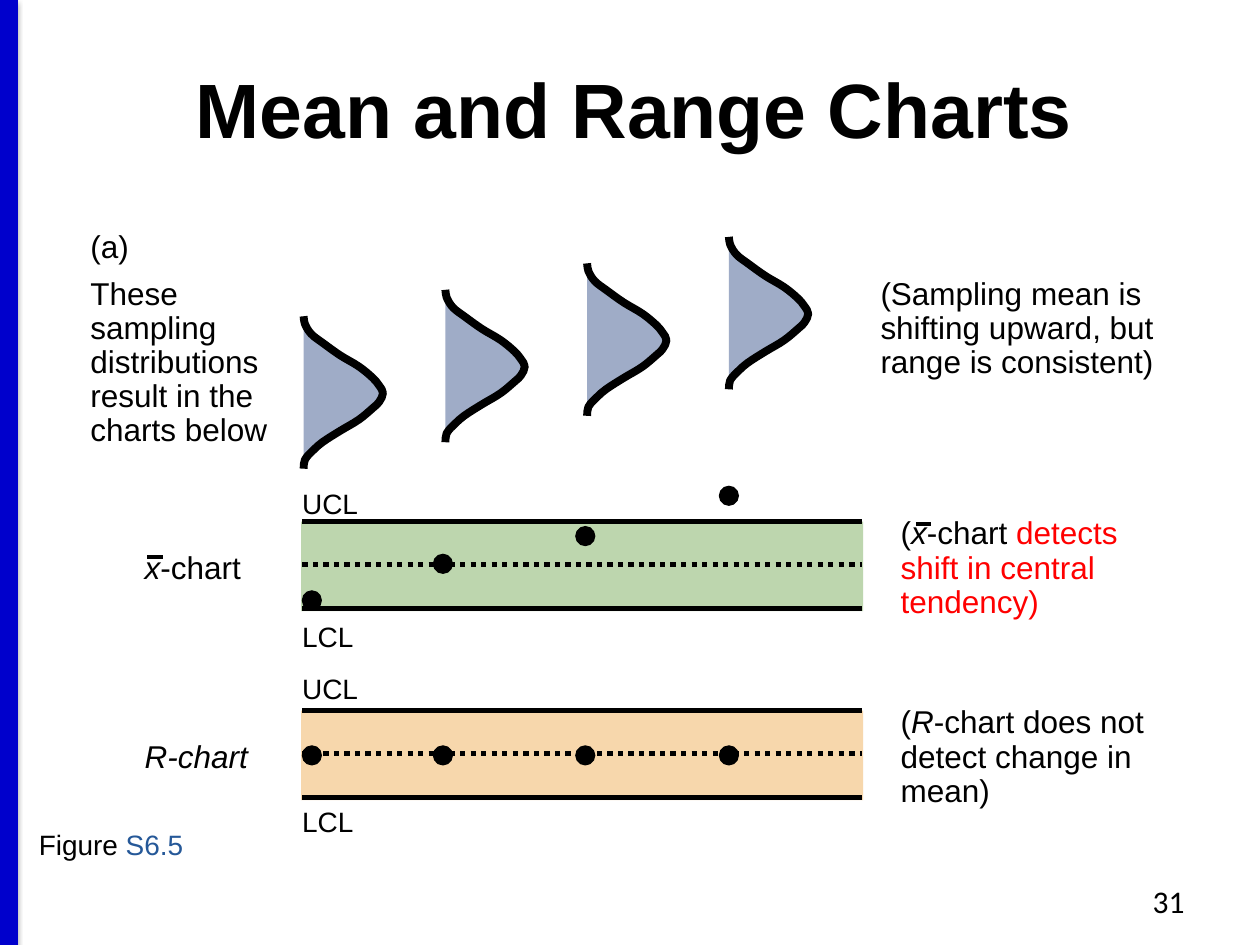
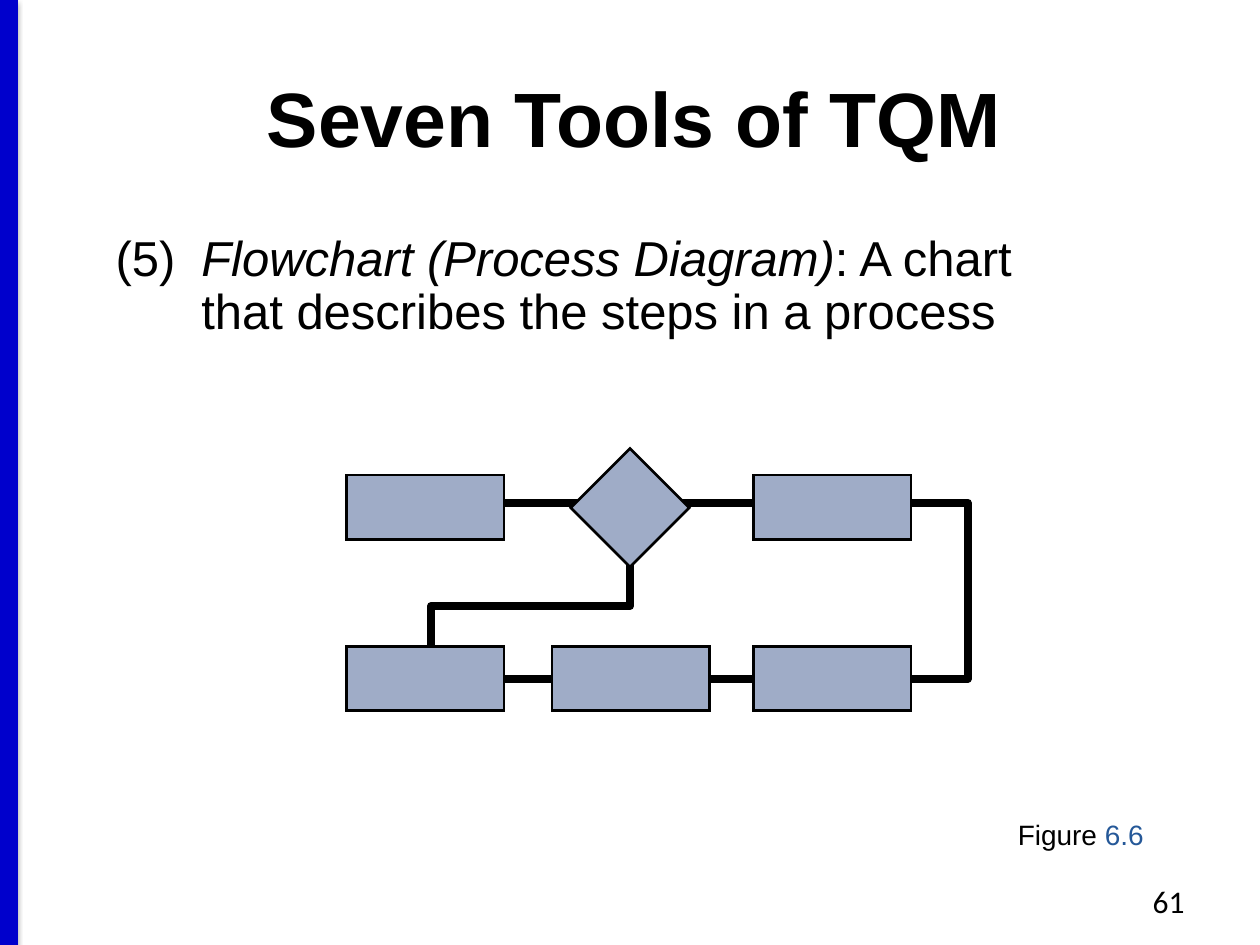
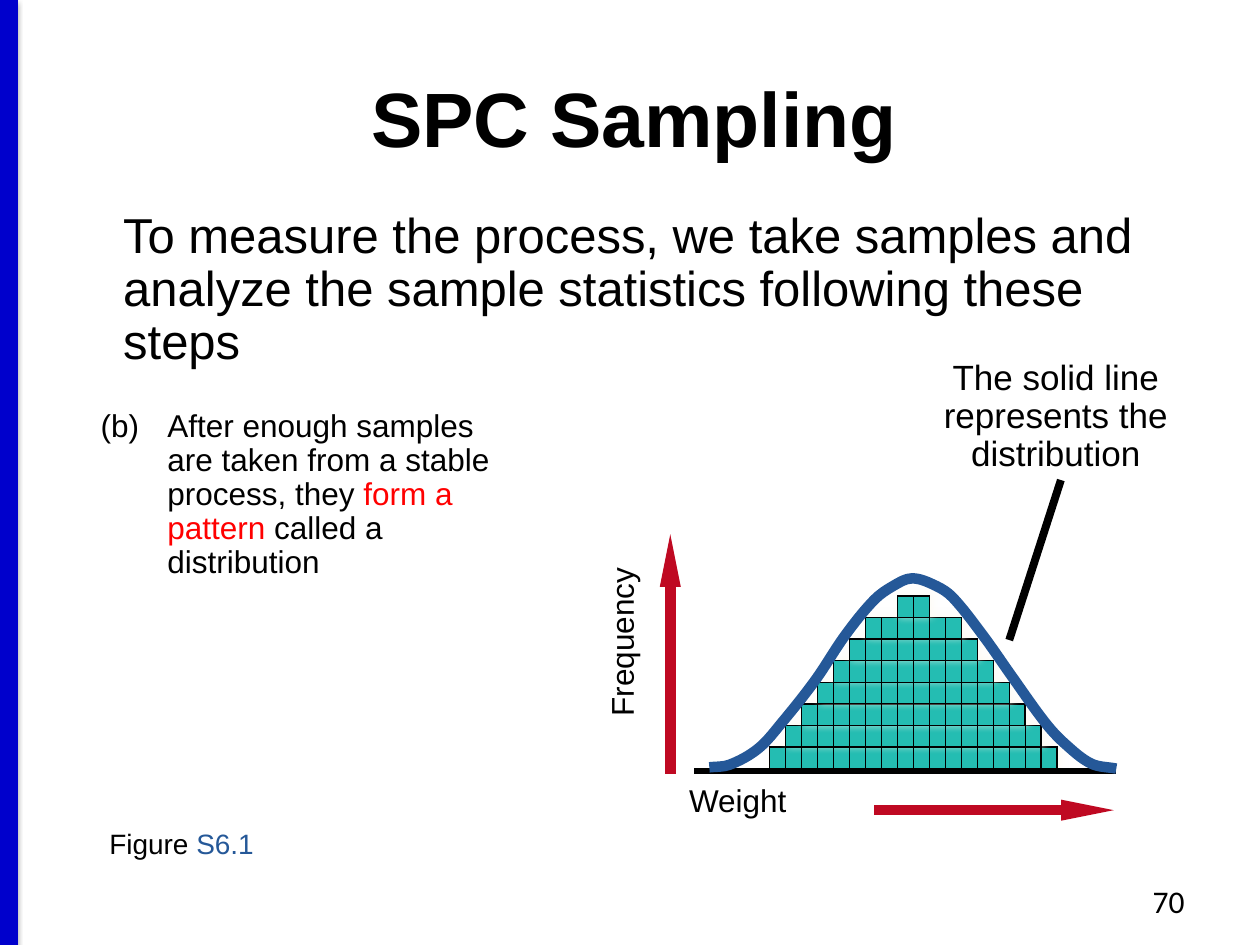
import math

from lxml import etree
from pptx import Presentation
from pptx import util as u
from pptx.dml import color
from pptx.enum import dml, shapes, text
from pptx.oxml import ns

Inches = u.Inches

# Shared look
BLACK, RED, BLUE = "000000", "FF0000", "255898"
BAND_BLUE, STEEL, TEAL, CRIMSON = "0000CC", "9FACC7", "24BDB2", "BF0922"
GREEN, ORANGE = "BDD6AE", "F7D7AC"
FONT = "Arial"
CENTER, RIGHT = text.PP_ALIGN.CENTER, text.PP_ALIGN.RIGHT


def rgb(value):
    return color.RGBColor.from_string(value)


def child(parent, tag, **attributes):
    return etree.SubElement(parent, ns.qn(tag), {k: str(v) for k, v in attributes.items()})


# Basic elements
def style_line(line, line_color, width):
    if line_color is None:
        line.fill.background()
    else:
        line.color.rgb = rgb(line_color)
        line.width = u.Pt(width)


def add_effects(shape, shadow=None):
    """Replace the theme shadow with (colour, opacity %, blur pt, distance pt, angle)."""
    properties = shape._element.spPr
    for old in properties.findall(ns.qn("a:effectLst")):
        properties.remove(old)
    effects = child(properties, "a:effectLst")
    if shadow:
        shadow_color, opacity, blur, distance, angle = shadow
        outer = child(effects, "a:outerShdw", blurRad=u.Pt(blur), dist=u.Pt(distance),
                      dir=angle * 60000, algn="ctr", rotWithShape=0)
        child(child(outer, "a:srgbClr", val=shadow_color), "a:alpha", val=opacity * 1000)


def add_line(slide, start, end, width, line_color=BLACK, dotted=False, arrow=False, shadow=None):
    line = slide.shapes.add_connector(
        shapes.MSO_CONNECTOR.STRAIGHT, *map(Inches, (*start, *end)))
    style_line(line.line, line_color, width)
    if dotted:
        line.line.dash_style = dml.MSO_LINE.ROUND_DOT
    if arrow:
        child(line.line._get_or_add_ln(), "a:tailEnd", type="triangle", w="sm", len="lg")
    add_effects(line, shadow)


def add_box(slide, kind, frame, fill, line_color=BLACK, width=0.75, shadow=None):
    shape = slide.shapes.add_shape(kind, *map(Inches, frame))
    shape.fill.solid()
    shape.fill.fore_color.rgb = rgb(fill)
    style_line(shape.line, line_color, width)
    if line_color:
        child(shape.line._get_or_add_ln(), "a:miter", lim=800000)
    add_effects(shape, shadow)


def add_outline(slide, points, width, line_color=BLACK, fill=None, curved=False):
    emu = [(Inches(x), Inches(y)) for x, y in points]
    builder = slide.shapes.build_freeform(*emu[0])
    builder.add_line_segments(emu[1:], close=False)
    shape = builder.convert_to_shape()
    if curved:
        bend(shape)
    if fill:
        shape.fill.solid()
        shape.fill.fore_color.rgb = rgb(fill)
    else:
        shape.fill.background()
    style_line(shape.line, line_color, width)
    shape.shadow.inherit = False


def bend(shape):
    """Turn the straight segments into curves that pass smoothly through the same points."""
    nodes = list(shape._element.spPr.iter(ns.qn("a:pt")))
    points = [(int(node.get("x")), int(node.get("y"))) for node in nodes]
    padded = [points[0], *points, points[-1]]
    angles = [math.atan2(after[1] - before[1], after[0] - before[0])
              for before, after in zip(padded, padded[2:])]
    for index, node in enumerate(nodes[1:], 1):
        start, end = points[index - 1], points[index]
        reach = math.dist(start, end) / 3
        segment = node.getparent()
        segment.tag = ns.qn("a:cubicBezTo")
        for (x, y), angle, sign in ((start, angles[index - 1], 1), (end, angles[index], -1)):
            child(segment, "a:pt", x=round(x + sign * reach * math.cos(angle)),
                  y=round(y + sign * reach * math.sin(angle)))
        segment.append(node)


def add_text(slide, frame, paragraphs, size, align=None, spacing=None, wrap=True, hanging=0,
             before=0, font=FONT, bold=False, middle=False, rotation=0):
    """Each paragraph is a list of runs: (words, colour, italic)."""
    box = slide.shapes.add_textbox(*map(Inches, frame))
    box.rotation = rotation
    text_frame = box.text_frame
    text_frame.word_wrap = wrap
    if middle:
        text_frame.vertical_anchor = text.MSO_ANCHOR.MIDDLE
    else:
        text_frame.auto_size = text.MSO_AUTO_SIZE.SHAPE_TO_FIT_TEXT
    for index, runs in enumerate(paragraphs):
        paragraph = text_frame.add_paragraph() if index else text_frame.paragraphs[0]
        if hanging:
            properties = paragraph._p.get_or_add_pPr()
            properties.set("marL", str(Inches(hanging)))
            properties.set("indent", str(-Inches(hanging)))
        if align is not None:
            paragraph.alignment = align
        if spacing:
            paragraph.line_spacing = spacing
        if index and before:
            paragraph.space_before = u.Pt(before)
        for words, run_color, italic_style in runs:
            run = paragraph.add_run()
            run.text = words
            run.font.name, run.font.size = font, u.Pt(size)
            run.font.bold, run.font.italic = bold, italic_style
            run.font.color.rgb = rgb(run_color)


def plain(words, run_color=BLACK):
    return words, run_color, False


def italic(words):
    return words, BLACK, True


# Parts found on every slide
def new_slide(presentation, title, number, title_spacing=None):
    slide = presentation.slides.add_slide(presentation.slide_layouts[6])
    add_line(slide, (0.07, 0), (0.07, 7.5), 10, BAND_BLUE, shadow=(BLACK, 38, 3.1, 1.6, 90))
    add_text(slide, (0.07, 0.3, 9.93, 1.25), [[plain(title)]], 44, CENTER,
             title_spacing, bold=True, middle=True)
    add_text(slide, (7.17, 6.95, 2.33, 0.4), [[plain(number)]], 18, RIGHT, font="Calibri")
    return slide


def add_figure_label(slide, frame, number, spacing=None):
    add_text(slide, frame, [[plain("Figure "), plain(number, BLUE)]], 16,
             spacing=spacing, wrap=False)


# Mean and range charts
def add_sampling_curve(slide, left, top):
    bell = [(0, 0), (0.01, 0.06), (0.06, 0.14), (0.15, 0.21), (0.29, 0.31), (0.44, 0.4),
            (0.55, 0.49), (0.6, 0.55), (0.63, 0.61), (0.6, 0.68), (0.56, 0.72), (0.44, 0.82),
            (0.29, 0.91), (0.15, 1), (0.08, 1.06), (0.01, 1.14), (0, 1.21)]
    add_outline(slide, [(left + x, top + y) for x, y in bell], 4.5, fill=STEEL, curved=True)


def add_control_chart(slide, top, fill, dot_tops, label_tops, name, note, note_width):
    add_box(slide, shapes.MSO_SHAPE.RECTANGLE, (2.39, top, 4.46, 0.71), fill, None)
    for offset, dotted in ((0, False), (0.34, True), (0.69, False)):
        add_line(slide, (2.4, top + offset), (6.84, top + offset), 3, dotted=dotted)
    for left, dot_top in zip((2.4, 3.44, 4.57, 5.71), dot_tops):
        add_box(slide, shapes.MSO_SHAPE.OVAL, (left, dot_top, 0.15, 0.15), BLACK)
    add_text(slide, (1.05, top + 0.16, 1.09, 0.4), [name], 18, wrap=False)
    add_text(slide, (7.05, top - 0.08, note_width, 0.92), [note], 18, spacing=0.9)
    for label, label_top, width in zip(("UCL", "LCL"), label_tops, (0.66, 0.61)):
        add_text(slide, (2.3, label_top, width, 0.37), [[plain(label)]], 16, wrap=False)


def build_mean_and_range(presentation):
    slide = new_slide(presentation, "Mean and Range Charts", "31", 0.8)
    for index in range(4):
        add_sampling_curve(slide, 2.41 + 1.125 * index, 2.51 - 0.21 * index)
    add_text(slide, (0.62, 1.79, 1.74, 1.85),
             [[plain("(a)")],
              [plain("These sampling distributions result in the charts below")]],
             18, spacing=0.9, before=7.2)
    add_text(slide, (6.89, 2.16, 2.67, 0.92),
             [[plain("(Sampling mean is shifting upward, but range is consistent)")]],
             18, spacing=0.9)
    add_control_chart(
        slide, 5.64, ORANGE, [5.92] * 4, (5.28, 6.34), [italic("R-chart")],
        [plain("("), italic("R"), plain("-chart does not detect change in mean)")], 2.37)
    add_control_chart(
        slide, 4.14, GREEN, (4.69, 4.4, 4.18, 3.86), (3.81, 4.87),
        [italic("x"), plain("-chart")],
        [plain("("), italic("x"), plain("-chart "),
         plain("detects shift in central tendency)", RED)], 2.1)
    # Bars over the two x symbols
    for left, top in ((1.17, 4.42), (7.27, 4.16)):
        add_line(slide, (left, top), (left + 0.12, top), 2.25)
    add_figure_label(slide, (0.21, 6.52, 1.4, 0.37), "S6.5")


# Flowchart
def build_flowchart(presentation):
    slide = new_slide(presentation, "Seven Tools of TQM", "61")
    add_text(slide, (0.82, 1.81, 7.76, 0.96),
             [[plain("(5)\t"), italic("Flowchart (Process Diagram)"),
               plain(": A chart that describes the steps in a process")]],
             28, spacing=0.9, hanging=0.68)
    add_figure_label(slide, (7.98, 6.44, 1.25, 0.37), "6.6")
    add_outline(slide, [(3.86, 3.99), (7.68, 3.99), (7.68, 5.39), (3.89, 5.39)], 4.5)
    add_outline(slide, [(3.42, 5.31), (3.42, 4.81), (5, 4.81), (5, 4.36)], 4.5)
    for top, lefts in ((3.77, (2.75, 5.98)), (5.13, (2.75, 4.38, 5.98))):
        for left in lefts:
            add_box(slide, shapes.MSO_SHAPE.RECTANGLE, (left, top, 1.25, 0.51), STEEL, width=1.5)
    add_box(slide, shapes.MSO_SHAPE.DIAMOND, (4.53, 3.56, 0.94, 0.94), STEEL, width=1.5)


# Sampling distribution
def add_histogram(slide):
    left, right, top, base = 6.11, 8.39, 4.73, 6.1
    columns = 18
    insets = (0, 1, 2, 3, 4, 5, 6, 8)  # empty columns on each side, bottom row first
    cell_width = (right - left) / columns
    cell_height = (base - top) / len(insets)
    for row, inset in enumerate(insets):
        add_box(slide, shapes.MSO_SHAPE.RECTANGLE,
                (left + inset * cell_width, base - (row + 1) * cell_height,
                 (columns - 2 * inset) * cell_width, cell_height),
                TEAL, shadow=("FFFCF2", 75, 5, 1.4, 315))
    add_line(slide, (5.51, 6.12), (8.86, 6.12), 3)
    for column in range(1, columns):
        rows = sum(inset <= min(column, columns - column) for inset in insets)
        x = left + column * cell_width
        add_line(slide, (x, base - rows * cell_height), (x, base), 0.75)


def build_sampling(presentation):
    slide = new_slide(presentation, "SPC Sampling", "70")
    add_text(slide, (0.88, 1.63, 8.24, 1.38),
             [[plain("To measure the process, we take samples and analyze the sample "
                     "statistics following these steps")]], 28, spacing=0.9)
    add_text(slide, (0.7, 3.21, 3.38, 1.47),
             [[plain("(b)\tAfter enough samples are taken from a stable process, they "),
               plain("form a pattern", RED), plain(" called a distribution")]],
             18, spacing=0.9, hanging=0.53)
    add_text(slide, (7.05, 2.81, 2.66, 1.02),
             [[plain("The solid line represents the distribution")]], 20, CENTER, 0.9)
    add_line(slide, (8.42, 3.81), (8.01, 5.08), 4.5)
    # Axes
    add_text(slide, (4.26, 4.9, 1.39, 0.38), [[plain("Frequency")]], 18,
             spacing=0.9, wrap=False, rotation=270)
    add_text(slide, (5.37, 6.18, 0.98, 0.38), [[plain("Weight")]], 18, spacing=0.9, wrap=False)
    add_line(slide, (5.32, 6.14), (5.32, 4.24), 6, CRIMSON, arrow=True)
    add_line(slide, (6.94, 6.43), (8.84, 6.43), 6, CRIMSON, arrow=True)
    add_histogram(slide)
    distribution = [(5.63, 6.09), (5.79, 6.07), (6.02, 5.94), (6.21, 5.73), (6.47, 5.4),
                    (6.71, 5.04), (6.94, 4.76), (7.09, 4.65), (7.24, 4.59), (7.43, 4.65),
                    (7.56, 4.74), (7.8, 5.04), (8.04, 5.38), (8.3, 5.74), (8.45, 5.9),
                    (8.66, 6.06), (8.86, 6.1)]
    add_outline(slide, distribution, 6, BLUE, curved=True)
    add_figure_label(slide, (0.77, 6.54, 1.36, 0.35), "S6.1", 0.9)


def main():
    presentation = Presentation()
    presentation.slide_width, presentation.slide_height = Inches(10), Inches(7.5)
    build_mean_and_range(presentation)
    build_flowchart(presentation)
    build_sampling(presentation)
    presentation.save("out.pptx")


if __name__ == "__main__":
    main()
